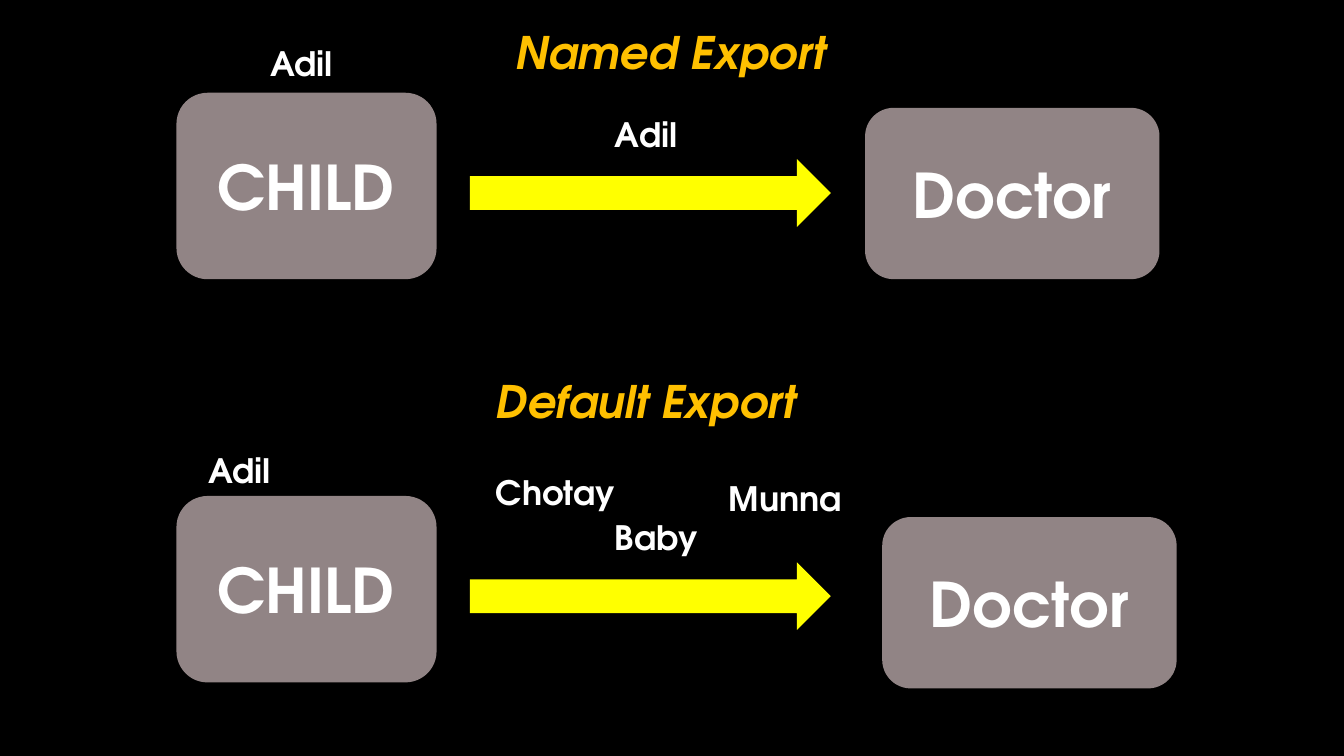
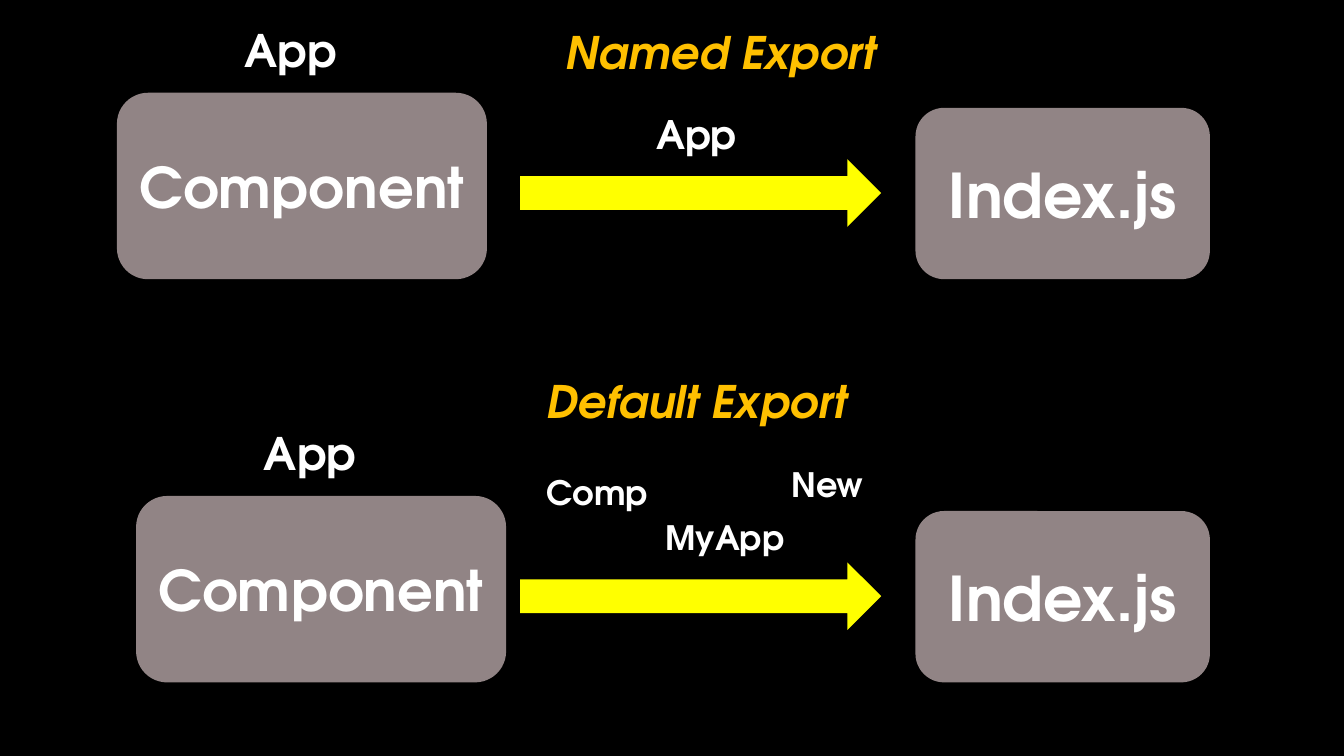
from dataclasses import dataclass

from pptx import Presentation
from pptx.dml.color import RGBColor
from pptx.enum.shapes import MSO_SHAPE as Preset
from pptx.enum.text import MSO_ANCHOR as Anchor, MSO_AUTO_SIZE as AutoSize, PP_ALIGN as Align
from pptx.util import Inches, Pt

FONT = "TeX Gyre Adventor"
BACKGROUND = "000000"
MODULE_FILL = "918485"
ARROW_FILL = "FFFF00"
TITLE_COLOUR = "FFC000"
TEXT_COLOUR = "FFFFFF"
EXPORTER_HEIGHT = 1.85
IMPORTER_WIDTH, IMPORTER_HEIGHT = 2.92, 1.7
ARROW_WIDTH, ARROW_HEIGHT = 3.58, 0.67
ARROW_DROP = 0.66
LABEL_HEIGHTS = {24: 0.5, 28: 0.57, 32: 0.64}


@dataclass(frozen=True)
class Label:
    text: str
    left: float
    top: float
    width: float
    size: int = 24


@dataclass(frozen=True)
class Module:
    text: str
    left: float
    top: float
    width: float = IMPORTER_WIDTH
    height: float = IMPORTER_HEIGHT
    size: int = 44


@dataclass(frozen=True)
class ExportFlow:
    title: Label
    exporter: Module
    importer: Module
    arrow_left: float
    names: tuple[Label, ...]


def colour(code: str) -> RGBColor:
    return RGBColor.from_string(code)


def write(frame, text: str, size: int, code: str, italic: bool = False) -> None:
    frame.text = text
    frame.vertical_anchor = Anchor.MIDDLE
    font = frame.paragraphs[0].runs[0].font
    font.name = FONT
    font.size = Pt(size)
    font.bold = True
    font.italic = italic
    font.color.rgb = colour(code)


def draw_shape(slide, preset, left: float, top: float, width: float, height: float, fill: str):
    shape = slide.shapes.add_shape(preset, Inches(left), Inches(top), Inches(width), Inches(height))
    shape.shadow.inherit = False
    shape.fill.solid()
    shape.fill.fore_color.rgb = colour(fill)
    shape.line.fill.background()
    return shape


def draw_module(slide, module: Module) -> None:
    shape = draw_shape(slide, Preset.ROUNDED_RECTANGLE, module.left, module.top,
                       module.width, module.height, MODULE_FILL)
    write(shape.text_frame, module.text, module.size, TEXT_COLOUR)
    shape.text_frame.paragraphs[0].alignment = Align.CENTER


def draw_label(slide, label: Label, code: str = TEXT_COLOUR, italic: bool = False) -> None:
    box = slide.shapes.add_textbox(Inches(label.left), Inches(label.top),
                                   Inches(label.width), Inches(LABEL_HEIGHTS[label.size]))
    frame = box.text_frame
    write(frame, label.text, label.size, code, italic)
    frame.word_wrap = False
    frame.auto_size = AutoSize.SHAPE_TO_FIT_TEXT


def draw_flow(slide, flow: ExportFlow) -> None:
    draw_module(slide, flow.exporter)
    draw_shape(slide, Preset.RIGHT_ARROW, flow.arrow_left, flow.exporter.top + ARROW_DROP,
               ARROW_WIDTH, ARROW_HEIGHT, ARROW_FILL)
    draw_module(slide, flow.importer)
    for name in flow.names:
        draw_label(slide, name)
    draw_label(slide, flow.title, TITLE_COLOUR, italic=True)


def named_export(arrow_left: float, exporter: Module, importer: Module, *names: Label) -> ExportFlow:
    title = Label("Named Export", arrow_left + 0.35, 0.19, 3.31, 32)
    return ExportFlow(title, exporter, importer, arrow_left, names)


def default_export(arrow_left: float, exporter: Module, importer: Module, *names: Label) -> ExportFlow:
    title = Label("Default Export", arrow_left + 0.16, 3.65, 3.21, 32)
    return ExportFlow(title, exporter, importer, arrow_left, names)


def child(top: float) -> Module:
    return Module("CHILD", 1.75, top, 2.58, EXPORTER_HEIGHT)


def component(left: float, top: float) -> Module:
    return Module("Component", left, top, 3.67, EXPORTER_HEIGHT, 40)


SLIDES = (
    (
        named_export(4.66, child(0.92), Module("Doctor", 8.58, 1.07),
                     Label("Adil", 2.58, 0.38, 0.83),
                     Label("Adil", 6, 1.08, 0.83)),
        default_export(4.66, child(4.92), Module("Doctor", 8.75, 5.13),
                       Label("Adil", 1.97, 4.41, 0.83),
                       Label("Baby", 6, 5.08, 1.04),
                       Label("Munna", 7.13, 4.69, 1.33),
                       Label("Chotay", 4.82, 4.63, 1.4)),
    ),
    (
        named_export(5.16, component(1.16, 0.92), Module("Index.js", 9.08, 1.07),
                     Label("App", 2.33, 0.17, 1.13, 32),
                     Label("App", 6.41, 1.04, 1.01, 28)),
        default_export(5.16, component(1.35, 4.92), Module("Index.js", 9.08, 5.07),
                       Label("App", 2.52, 4.17, 1.13, 32),
                       Label("MyApp", 6.5, 5.08, 1.39),
                       Label("New", 7.75, 4.55, 0.94),
                       Label("Comp", 5.32, 4.63, 1.22)),
    ),
)


def main() -> None:
    deck = Presentation()
    deck.slide_width, deck.slide_height = Inches(13.33), Inches(7.5)
    for flows in SLIDES:
        slide = deck.slides.add_slide(deck.slide_layouts[6])
        slide.background.fill.solid()
        slide.background.fill.fore_color.rgb = colour(BACKGROUND)
        for flow in flows:
            draw_flow(slide, flow)
    deck.save("out.pptx")


if __name__ == "__main__":
    main()
